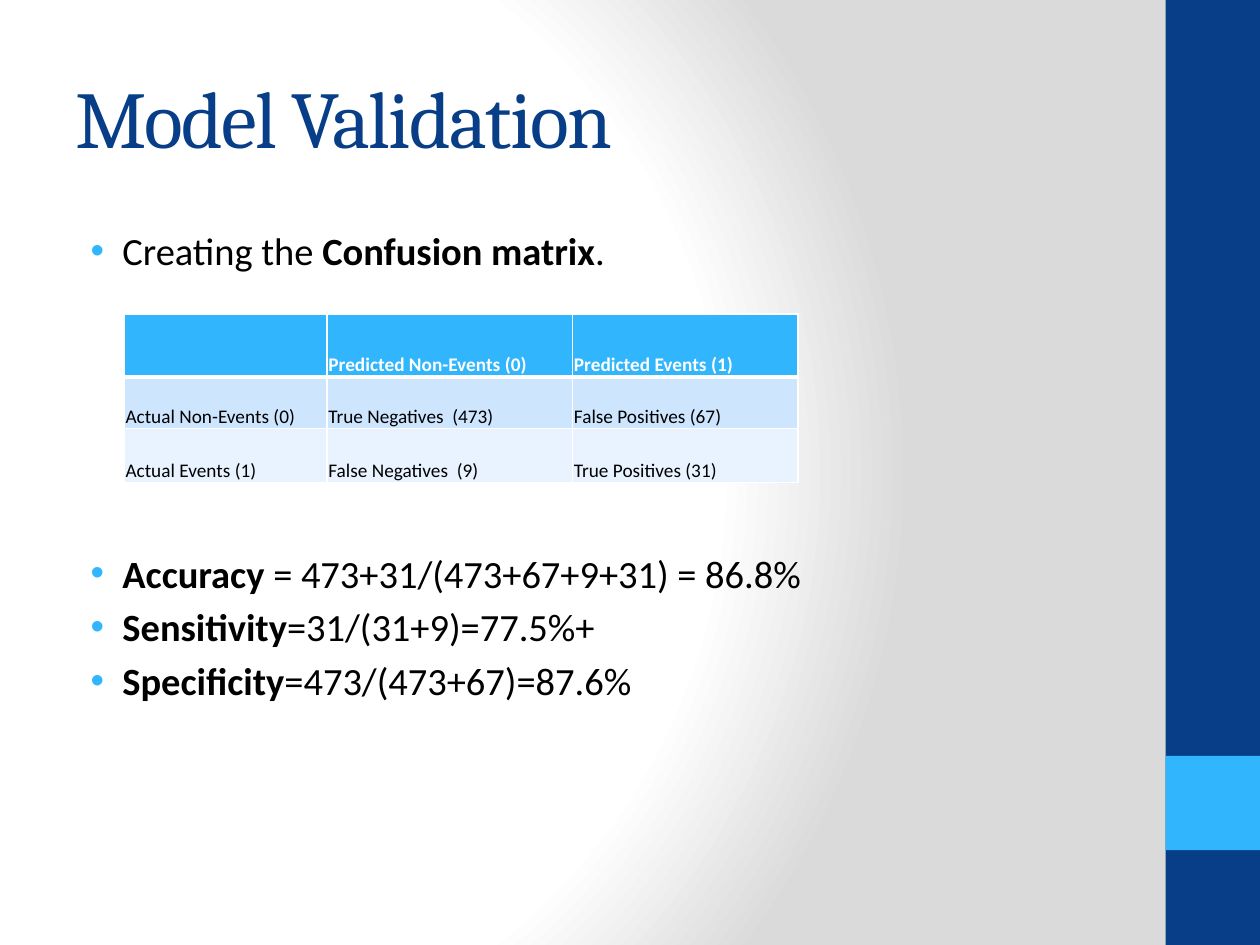
"""Build the Model Validation slide with its confusion matrix."""
from dataclasses import dataclass

from lxml.etree import SubElement as Sub
from pptx import Presentation
from pptx.dml.color import RGBColor as RGB
from pptx.enum.shapes import MSO_SHAPE as SHAPE
from pptx.enum.text import MSO_ANCHOR as ANCHOR
from pptx.oxml.ns import qn
from pptx.util import Cm, Pt


@dataclass(frozen=True)
class Theme:
    navy: str = "073E87"
    sky: str = "31B6FD"
    pale: str = "CEE5FE"
    mist: str = "E8F3FF"
    grey: str = "DADADA"
    white: str = "FFFFFF"
    black: str = "000000"
    head: str = "Cambria"
    body: str = "Calibri"
    big: float = 46
    mid: float = 22
    small: float = 11


theme = Theme()


def style(run, face, size, color, bold=False):
    run.font.name, run.font.size, run.font.bold = face, Pt(size), bold
    run.font.color.rgb = RGB.from_string(color)


def add_box(slide, top, height):
    frame = slide.shapes.add_textbox(Cm(1.27), Cm(top), Cm(21.16), Cm(height)).text_frame
    frame.word_wrap = True
    return frame


deck = Presentation()
deck.slide_width, deck.slide_height = Cm(25.4), Cm(19.05)
slide = deck.slides.add_slide(deck.slide_layouts[6])

slide.background.fill.gradient()
grad = slide.element.find(".//" + qn("a:gradFill"))
for node in list(grad):
    grad.remove(node)
stops = Sub(grad, qn("a:gsLst"))
for pos, color in ((0, theme.white), (75, theme.white), (100, theme.grey)):
    stop = Sub(stops, qn("a:gs"), pos=str(pos * 1000))
    Sub(stop, qn("a:srgbClr"), val=color)
focus = Sub(grad, qn("a:path"), path="circle")
Sub(focus, qn("a:fillToRect"), l="20000", t="50000", r="100000", b="50000")

for top, height, color in ((0, 19.05, theme.navy), (15.24, 1.9, theme.sky)):
    bar = slide.shapes.add_shape(SHAPE.RECTANGLE, Cm(23.5), Cm(top), Cm(1.9), Cm(height))
    bar.shadow.inherit = False
    bar.fill.solid()
    bar.fill.fore_color.rgb = RGB.from_string(color)
    bar.line.fill.background()

title = add_box(slide, 0.76, 3.18)
title.vertical_anchor = ANCHOR.MIDDLE
title.text = "Model Validation"
run = title.paragraphs[0].runs[0]
style(run, theme.head, theme.big, theme.navy)
run.font._element.set("spc", "-100")

points = (
    (4.4, (("Creating the ", False), ("Confusion matrix", True), (".", False))),
    (158, (("Accuracy", True), (" = 473+31/(473+67+9+31) = 86.8%", False))),
    (4.4, (("Sensitivity", True), ("=31/(31+9)=77.5%+", False))),
    (4.4, (("Specificity", True), ("=473/(473+67)=87.6%", False))),
)
body = add_box(slide, 4.45, 13.33)
for i, (gap, parts) in enumerate(points):
    para = body.add_paragraph() if i else body.paragraphs[0]
    para.space_before = Pt(gap)
    props = para._p.get_or_add_pPr()
    props.set("marL", str(Cm(0.95)))
    props.set("indent", str(Cm(-0.64)))
    Sub(Sub(props, qn("a:buClr")), qn("a:srgbClr"), val=theme.sky)
    Sub(props, qn("a:buFont"), typeface="Arial")
    Sub(props, qn("a:buChar"), char="•")
    for text, bold in parts:
        run = para.add_run()
        run.text = text
        style(run, theme.body, theme.mid, theme.black, bold)

rows = (
    ("", "Predicted Non-Events (0)", "Predicted Events (1)"),
    ("Actual Non-Events (0)", "True Negatives  (473)", "False Positives (67)"),
    ("Actual Events (1)", "False Negatives  (9)", "True Positives (31)"),
)
fills = (theme.sky, theme.pale, theme.mist)
grid = slide.shapes.add_table(3, 3, Cm(2.5), Cm(6.33), Cm(13.59), Cm(3.4)).table
for col, width in zip(grid.columns, (4.09, 4.95, 4.55)):
    col.width = Cm(width)
for row, height in zip(grid.rows, (1.27, 1.04, 1.09)):
    row.height = Cm(height)
for r, texts in enumerate(rows):
    for c, text in enumerate(texts):
        cell = grid.cell(r, c)
        cell.text = text
        cell.vertical_anchor = ANCHOR.BOTTOM
        cell.margin_left = cell.margin_right = cell.margin_top = Cm(0.03)
        cell.margin_bottom = 0
        for run in cell.text_frame.paragraphs[0].runs:
            style(run, theme.body, theme.small, theme.black if r else theme.white, r == 0)
        props = cell._tc.get_or_add_tcPr()
        for side in "LRTB":
            thick = (r, side) in ((0, "B"), (1, "T"))
            edge = Sub(props, qn("a:ln" + side), w=str(Pt(3 if thick else 1)))
            Sub(Sub(edge, qn("a:solidFill")), qn("a:srgbClr"), val=theme.white)
        cell.fill.solid()
        cell.fill.fore_color.rgb = RGB.from_string(fills[r])
        props.append(props.find(qn("a:solidFill")))

deck.save("out.pptx")
